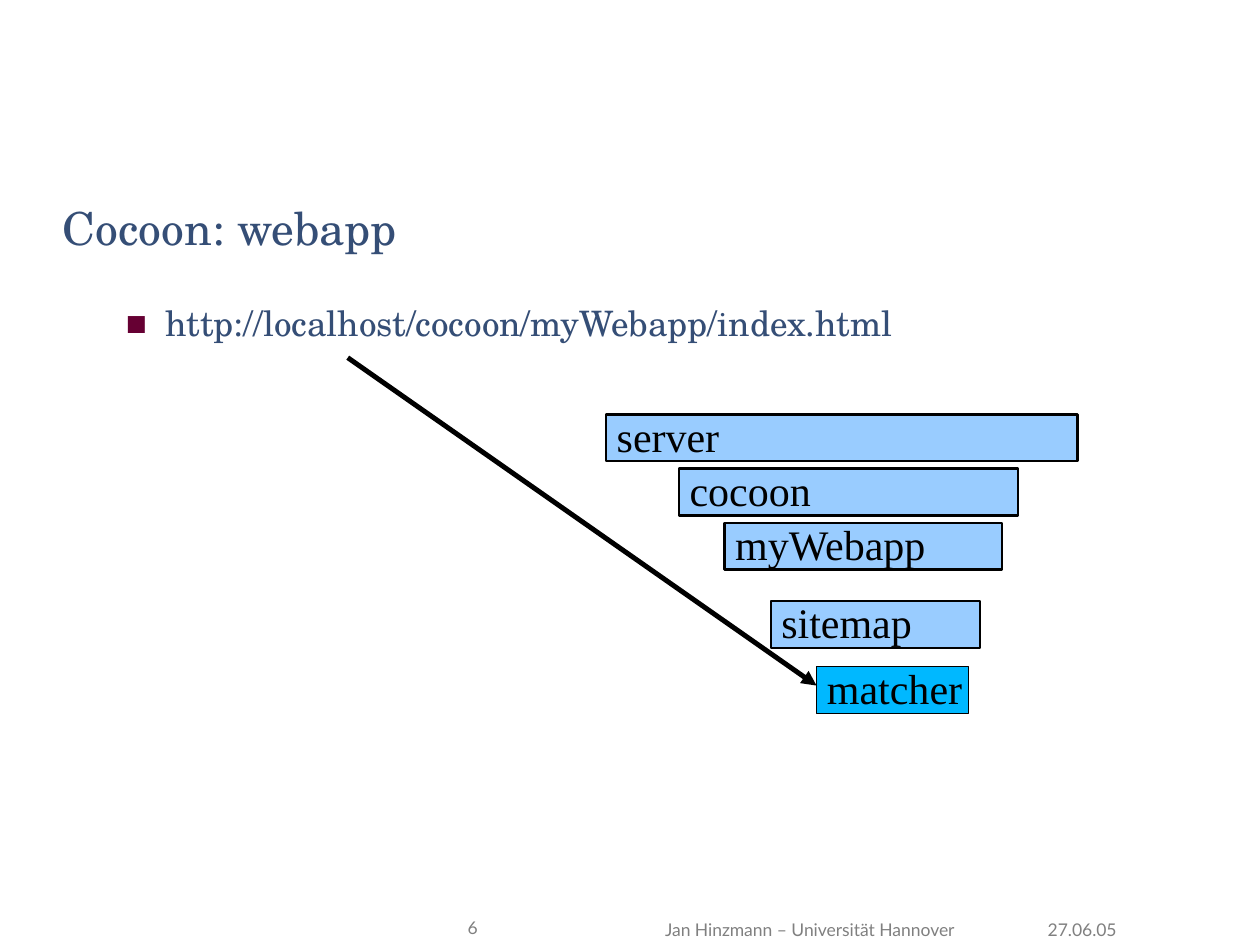
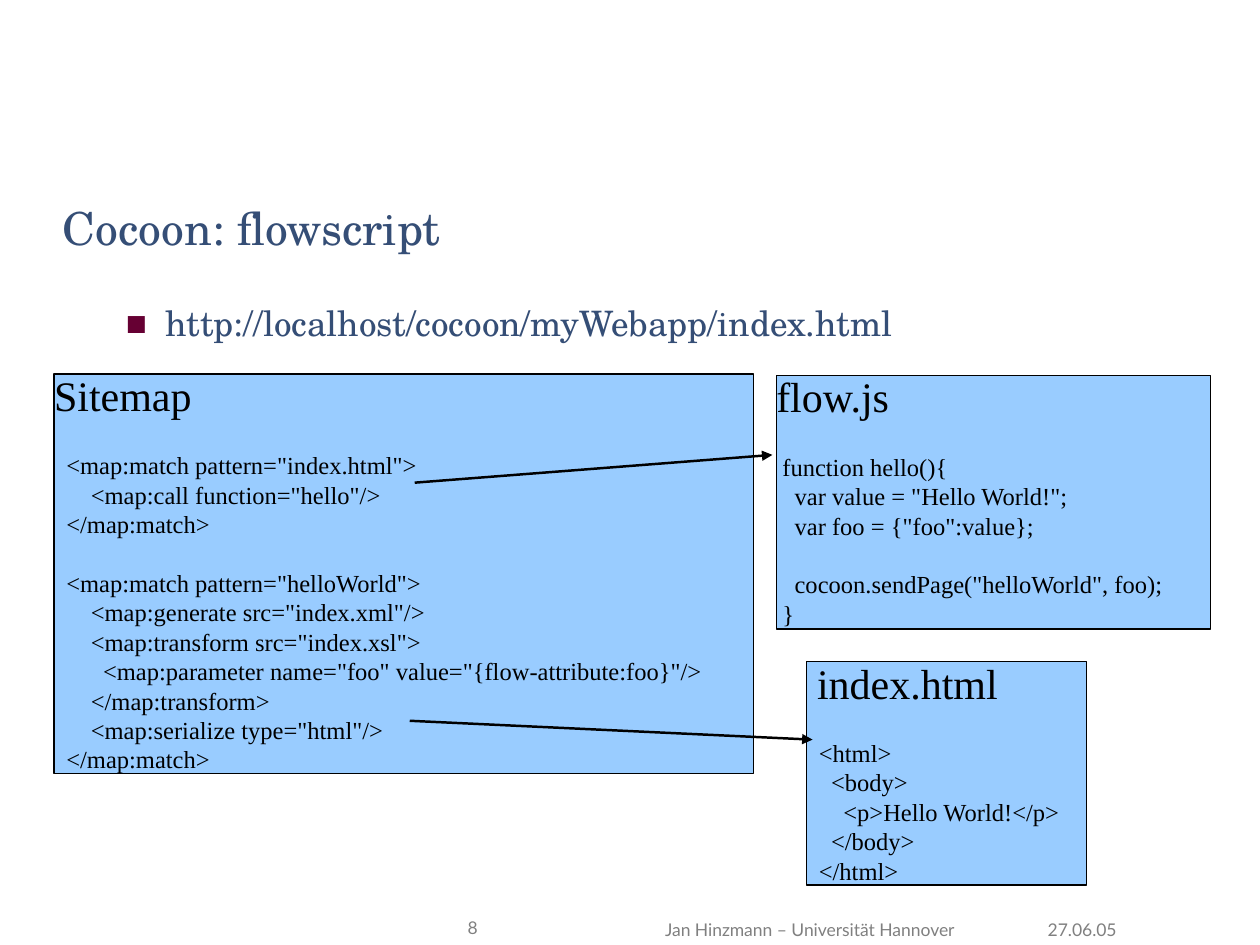
from lxml.etree import SubElement
from pptx import Presentation
from pptx.dml.color import RGBColor
from pptx.enum.shapes import MSO_CONNECTOR, MSO_SHAPE
from pptx.enum.text import MSO_ANCHOR, PP_ALIGN
from pptx.oxml.ns import qn
from pptx.util import Cm, Pt

NAVY = RGBColor(0x35, 0x4E, 0x76)
MAROON = RGBColor(0x66, 0x00, 0x33)
GRAY = RGBColor(0x80, 0x80, 0x80)
BLACK = RGBColor(0x00, 0x00, 0x00)
LIGHT_BLUE = RGBColor(0x99, 0xCC, 0xFF)
CYAN = RGBColor(0x00, 0xB8, 0xFF)

HEADING_FONT = "TeX Gyre Schola"
FOOTER_FONT = "Lato"
BOX_FONT = "Times New Roman"

BOX_SIZE = 24
CODE_SIZE = 14
CODE_PITCH = Pt(16.8)
SPACE_WIDTH = 0.25
LABEL_INDENT = Pt(BOX_SIZE * SPACE_WIDTH)
LAYER_HEIGHT = 0.94

URL = "http://localhost/cocoon/myWebapp/index.html"

LAYERS = [
    ("server", 12.22, 8.36, 9.5),
    ("cocoon", 13.69, 9.45, 6.83),
    ("myWebapp", 14.61, 10.54, 5.59),
    ("sitemap", 15.54, 12.12, 4.22),
]

SITEMAP_CODE = """\
  <map:match pattern="index.html">
      <map:call function="hello"/>
  </map:match>

  <map:match pattern="helloWorld">
      <map:generate src="index.xml"/>
      <map:transform src="index.xsl">
        <map:parameter name="foo" value="{flow-attribute:foo}"/>
      </map:transform>
      <map:serialize type="html"/>
  </map:match>"""

FLOW_CODE = """\
 function hello(){
   var value = "Hello World!";
   var foo = {"foo":value};

   cocoon.sendPage("helloWorld", foo);
 }"""

HTML_CODE = """\
  <html>
    <body>
      <p>Hello World!</p>
    </body>
  </html>"""


def set_frame(frame, anchor=MSO_ANCHOR.TOP, side=0, edge=0):
    """Wrap the text and set its margins and anchor."""
    frame.word_wrap = True
    frame.vertical_anchor = anchor
    frame.margin_left = frame.margin_right = Cm(side)
    frame.margin_top = frame.margin_bottom = Cm(edge)


def style_paragraph(paragraph, font, size, color, spacing, align=PP_ALIGN.LEFT):
    """Give every run of a paragraph one look."""
    paragraph.alignment = align
    paragraph.line_spacing = spacing
    for run in paragraph.runs:
        run.font.name = font
        run.font.size = Pt(size)
        run.font.color.rgb = color


def set_indent(paragraph, left, first=0):
    """Set the left margin and first-line indent of a paragraph."""
    properties = paragraph._p.get_or_add_pPr()
    properties.set("marL", str(int(left)))
    properties.set("indent", str(int(first)))
    return properties


def add_footer_part(slide, text, left, top, width, height):
    """Add one right-aligned footer text."""
    part = slide.shapes.add_textbox(Cm(left), Cm(top), Cm(width), Cm(height))
    set_frame(part.text_frame, side=0.25, edge=0.13)
    part.text_frame.text = text
    style_paragraph(part.text_frame.paragraphs[0], FOOTER_FONT, 10, GRAY, 0.97,
                    PP_ALIGN.RIGHT)


def add_title(slide, text):
    """Add the slide title."""
    title = slide.shapes.add_textbox(Cm(1.27), Cm(3.43), Cm(23.27), Cm(2.41))
    set_frame(title.text_frame, MSO_ANCHOR.MIDDLE)
    title.text_frame.text = text
    style_paragraph(title.text_frame.paragraphs[0], HEADING_FONT, 26, NAVY, 0.95)


def add_bullet(slide, text):
    """Add the body text with a square bullet."""
    body = slide.shapes.add_textbox(Cm(1.27), Cm(6.15), Cm(23.27), Cm(11.63))
    set_frame(body.text_frame)
    body.text_frame.text = text
    paragraph = body.text_frame.paragraphs[0]
    style_paragraph(paragraph, HEADING_FONT, 20, NAVY, 0.95)
    paragraph.space_before = Pt(5)
    properties = set_indent(paragraph, Cm(2.06), Cm(-0.79))
    bullet_color = SubElement(properties, qn("a:buClr"))
    SubElement(bullet_color, qn("a:srgbClr"), val=str(MAROON))
    SubElement(properties, qn("a:buFont"), typeface=BOX_FONT)
    SubElement(properties, qn("a:buChar"), char="■")


def add_box(slide, label, left, top, width, height, fill, border, indent=0):
    """Add an outlined box with a large label and return its text frame."""
    box = slide.shapes.add_shape(MSO_SHAPE.RECTANGLE, Cm(left), Cm(top),
                                 Cm(width), Cm(height))
    box.shadow.inherit = False
    box.fill.solid()
    box.fill.fore_color.rgb = fill
    box.line.color.rgb = BLACK
    box.line.width = Pt(border)
    set_frame(box.text_frame)
    box.text_frame.text = label
    paragraph = box.text_frame.paragraphs[0]
    style_paragraph(paragraph, BOX_FONT, BOX_SIZE, BLACK, 0.93)
    set_indent(paragraph, indent)
    return box.text_frame


def add_code_panel(slide, label, code, left, top, width, height, indent=0):
    """Add a labelled box with code lines indented as in the listing."""
    frame = add_box(slide, label, left, top, width, height, LIGHT_BLUE, 0.75, indent)
    gap = CODE_PITCH
    for line in code.splitlines():
        text = line.lstrip()
        if not text:
            gap = CODE_PITCH
            continue
        paragraph = frame.add_paragraph()
        paragraph.text = text
        style_paragraph(paragraph, BOX_FONT, CODE_SIZE, BLACK, CODE_PITCH)
        paragraph.space_before = gap
        set_indent(paragraph, Pt(CODE_SIZE * SPACE_WIDTH * (len(line) - len(text))))
        gap = Pt(0)


def add_arrow(slide, start, end, width):
    """Add a straight black arrow."""
    arrow = slide.shapes.add_connector(MSO_CONNECTOR.STRAIGHT,
                                       *map(Cm, start), *map(Cm, end))
    arrow.line.color.rgb = BLACK
    arrow.line.width = Pt(width)
    SubElement(arrow.line._get_or_add_ln(), qn("a:tailEnd"), type="triangle")
    SubElement(arrow._element.spPr, qn("a:effectLst"))


def add_base_slide(deck, title, number):
    """Add a slide with footer, title and address."""
    slide = deck.slides.add_slide(deck.slide_layouts[6])
    add_footer_part(slide, "27.06.05", 18.95, 18.42, 3.81, 0.66)
    add_footer_part(slide, "Jan Hinzmann – Universität Hannover",
                    10.8, 18.42, 8.69, 0.66)
    add_footer_part(slide, str(number), 1.19, 18.39, 8.69, 0.74)
    add_title(slide, title)
    add_bullet(slide, URL)
    return slide


def add_webapp_slide(deck):
    """Show the layers a request passes through."""
    slide = add_base_slide(deck, "Cocoon: webapp", 6)
    for label, left, top, width in LAYERS:
        add_box(slide, label, left, top, width, LAYER_HEIGHT, LIGHT_BLUE, 1.42,
                LABEL_INDENT)
    add_arrow(slide, (7.01, 7.21), (16.46, 13.82), 2.83)
    add_box(slide, "matcher", 16.46, 13.44, 3.07, LAYER_HEIGHT, CYAN, 0.75,
            LABEL_INDENT)


def add_flowscript_slide(deck):
    """Show how sitemap, script and page work together."""
    slide = add_base_slide(deck, "Cocoon: flowscript", 8)
    add_code_panel(slide, "Sitemap", SITEMAP_CODE, 1.09, 7.54, 14.1, 8.05)
    add_code_panel(slide, "flow.js", FLOW_CODE, 15.65, 7.57, 8.76, 5.11)
    add_code_panel(slide, "index.html", HTML_CODE, 16.26, 13.34, 5.64, 4.5,
                   LABEL_INDENT)
    add_arrow(slide, (8.26, 14.53), (16.38, 14.91), 1.42)
    add_arrow(slide, (8.36, 9.73), (15.57, 9.17), 1.42)


def main():
    """Build and save the deck."""
    deck = Presentation()
    deck.slide_width = Cm(25.4)
    deck.slide_height = Cm(19.05)
    add_webapp_slide(deck)
    add_flowscript_slide(deck)
    deck.save("out.pptx")


if __name__ == "__main__":
    main()
